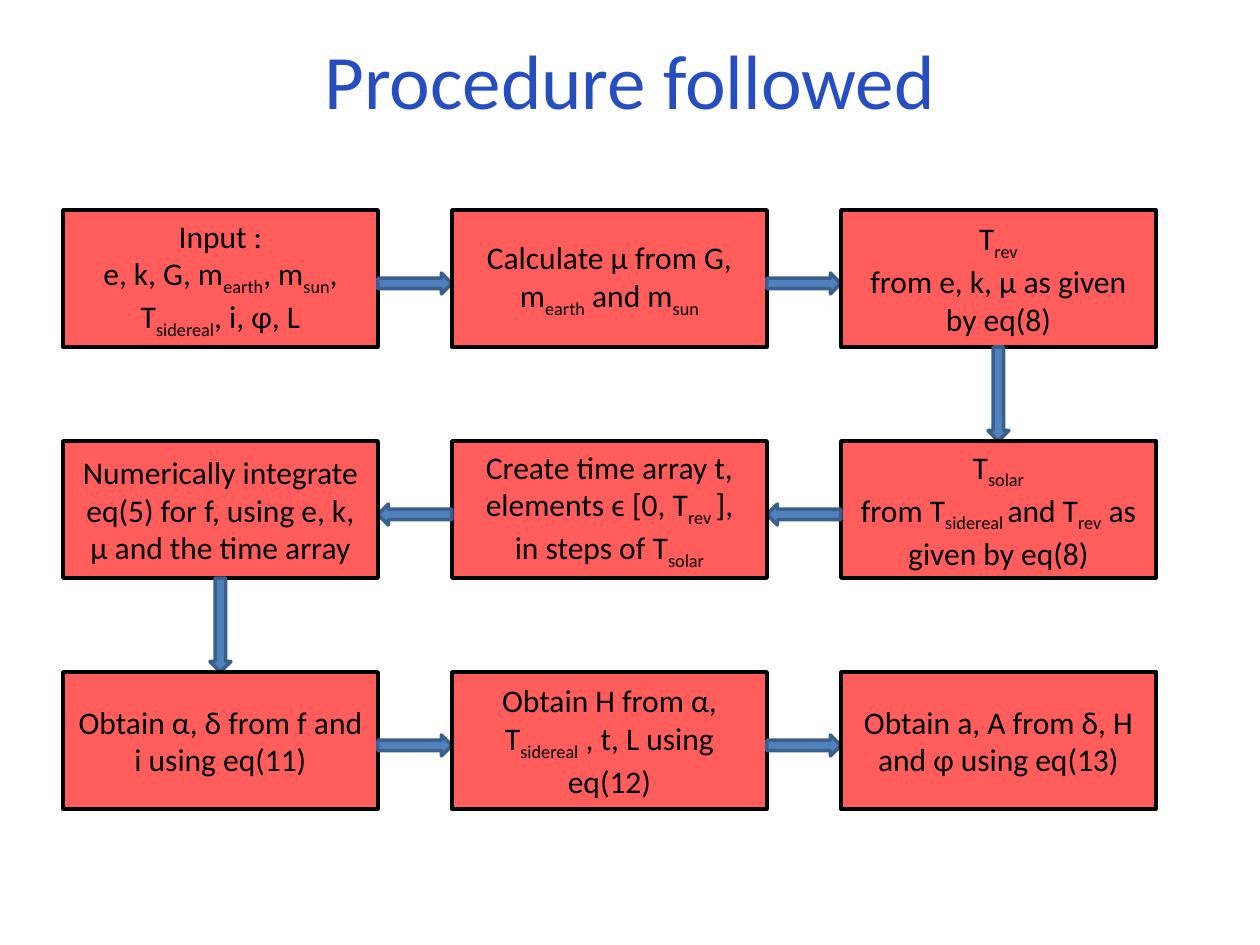
"""Build the slide 'Procedure followed': nine steps in a winding flow chart."""
from dataclasses import dataclass

import pptx
import pptx.util
import pptx.oxml
import pptx.dml.color
import pptx.enum.shapes
import pptx.enum.text
from lxml import etree

SHAPE = pptx.enum.shapes.MSO_SHAPE
MIDDLE = pptx.enum.text.MSO_ANCHOR.MIDDLE
CENTER = pptx.enum.text.PP_ALIGN.CENTER
EMU = 914400 // 126


@dataclass
class Theme:
    font: str = "Calibri"
    title: str = "264EC0"
    text: str = "000000"
    box: str = "FF0000"
    box_alpha: int = 64
    box_line: str = "000000"
    arrow: str = "4F81BD"
    arrow_line: str = "3A5F8C"
    title_pt: int = 44
    text_pt: int = 18
    line_pt: int = 2


theme = Theme()


def write(tf, text, size, color):
    """Fill a frame; lines part paragraphs, and text between bars is subscript."""
    tf.word_wrap = True
    tf.vertical_anchor = MIDDLE
    for n, line in enumerate(text.split("\n")):
        p = tf.add_paragraph() if n else tf.paragraphs[0]
        p.alignment = CENTER
        for k, part in enumerate(line.split("|")):
            if not part:
                continue
            r = p.add_run()
            r.text = part
            r.font.name = theme.font
            r.font.size = pptx.util.Pt(size)
            r.font.color.rgb = pptx.dml.color.RGBColor.from_string(color)
            if k % 2:
                r._r.get_or_add_rPr().set("baseline", "-25000")


def add_block(kind, x, y, w, h, fill, line):
    """Add a filled and outlined shape, placed in pixels."""
    sp = s.shapes.add_shape(kind, *(v * EMU for v in (x, y, w, h)))
    sp.shadow.inherit = False
    sp.fill.solid()
    sp.fill.fore_color.rgb = pptx.dml.color.RGBColor.from_string(fill)
    sp.line.color.rgb = pptx.dml.color.RGBColor.from_string(line)
    sp.line.width = pptx.util.Pt(theme.line_pt)
    return sp


prs = pptx.Presentation()
prs.slide_width = pptx.util.Inches(10)
prs.slide_height = pptx.util.Inches(7.5)
s = prs.slides.add_slide(prs.slide_layouts[5])

title = s.shapes.title
title.left, title.top, title.width, title.height = (v * EMU for v in (63, 0, 1134, 158))
write(title.text_frame, "Procedure followed", theme.title_pt, theme.title)

steps = [
    "Input :\ne, k, G, m|earth|, m|sun|, T|sidereal|, i, φ, L",
    "Calculate µ from G, m|earth| and m|sun|",
    "T|rev|\nfrom e, k, µ as given by eq(8)",
    "T|solar|\nfrom T|sidereal |and T|rev| as given by eq(8)",
    "Create time array t, elements ϵ [0, T|rev |],\nin steps of T|solar|",
    "Numerically integrate eq(5) for f, using e, k, µ and the time array",
    "Obtain α, δ from f and i using eq(11)",
    "Obtain H from α, T|sidereal| , t, L using eq(12)",
    "Obtain a, A from δ, H and φ using eq(13)",
]
COLS = 3
LEFT, TOP = 63, 210
BOX_W, BOX_H = 315, 137
GAP_X, GAP_Y = 74, 94
ARROW = 21

for i, step in enumerate(steps):
    row, col = divmod(i, COLS)
    leftward = row % 2 == 1
    if leftward:
        col = COLS - 1 - col
    x = LEFT + col * (BOX_W + GAP_X)
    y = TOP + row * (BOX_H + GAP_Y)

    box = add_block(SHAPE.FLOWCHART_PROCESS, x, y, BOX_W, BOX_H, theme.box, theme.box_line)
    rgb = box.fill._xPr.find(".//" + pptx.oxml.ns.qn("a:srgbClr"))
    etree.SubElement(rgb, pptx.oxml.ns.qn("a:alpha"), val=str(theme.box_alpha * 1000))
    write(box.text_frame, step, theme.text_pt, theme.text)

    if i == len(steps) - 1:
        continue
    if i % COLS == COLS - 1:
        kind = SHAPE.DOWN_ARROW
        place = x + (BOX_W - ARROW) // 2, y + BOX_H, ARROW, GAP_Y
    elif leftward:
        kind = SHAPE.LEFT_ARROW
        place = x - GAP_X, y + 63, GAP_X, ARROW
    else:
        kind = SHAPE.RIGHT_ARROW
        place = x + BOX_W, y + 63, GAP_X, ARROW
    add_block(kind, *place, theme.arrow, theme.arrow_line)

prs.save("out.pptx")
